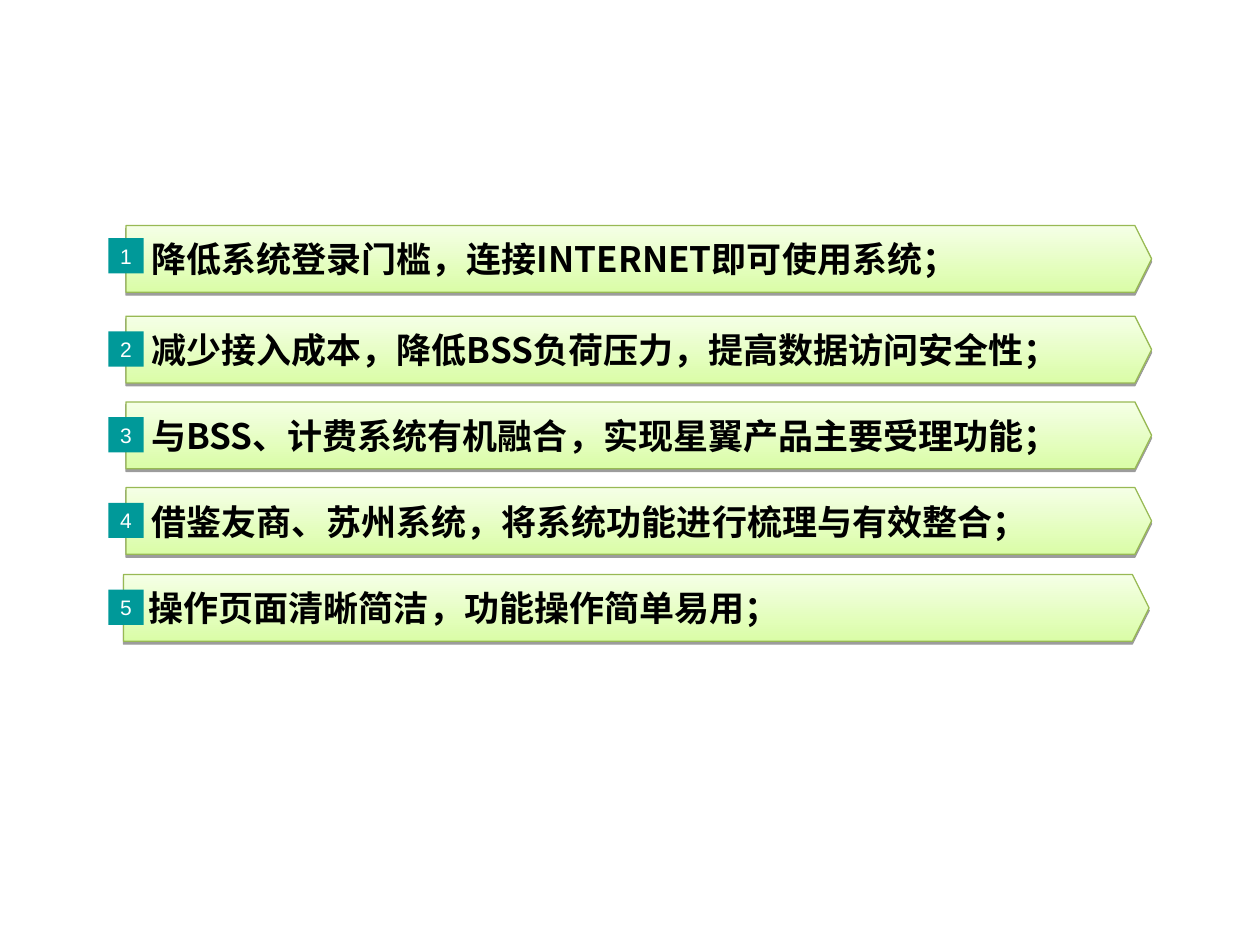
from typing import NamedTuple

from lxml.etree import SubElement
from pptx import Presentation
from pptx.dml.color import RGBColor
from pptx.enum.shapes import MSO_SHAPE as Shape
from pptx.enum.text import MSO_ANCHOR as Anchor, PP_ALIGN as Align
from pptx.oxml.ns import qn
from pptx.util import Inches, Pt

BLACK = RGBColor(0x00, 0x00, 0x00)
WHITE = RGBColor(0xFF, 0xFF, 0xFF)
TEAL = RGBColor(0x00, 0x99, 0x99)
LIME = RGBColor(0xDA, 0xFD, 0xA7)
PALE_LIME = RGBColor(0xF5, 0xFF, 0xE6)
OLIVE = RGBColor(0x98, 0xB9, 0x54)

BANNER_WIDTH, BANNER_HEIGHT = 8.14, 0.53
BADGE_LEFT, BADGE_SIZE = 0.86, 0.28


class Benefit(NamedTuple):
    text: str
    top: float
    left: float = 1.0
    badge_offset: float = 0.12


BENEFITS = [
    Benefit("降低系统登录门槛，连接INTERNET即可使用系统；", 1.79, badge_offset=0.1),
    Benefit("减少接入成本，降低BSS负荷压力，提高数据访问安全性；", 2.51),
    Benefit("与BSS、计费系统有机融合，实现星翼产品主要受理功能；", 3.19),
    Benefit("借鉴友商、苏州系统，将系统功能进行梳理与有效整合；", 3.87),
    Benefit("操作页面清晰简洁，功能操作简单易用；", 4.56, left=0.98),
]


def add_shadow(shape) -> None:
    effects = shape._element.spPr.find(qn("a:effectLst"))
    shadow = SubElement(effects, qn("a:outerShdw"), blurRad="0",
                        dist=str(Pt(1.6)), dir="5400000", rotWithShape="0")
    color = SubElement(shadow, qn("a:srgbClr"), val="000000")
    SubElement(color, qn("a:alpha"), val="38000")


def set_text(shape, text: str, font_name: str, size: int, color: RGBColor,
             bold: bool, align: Align, margin_left: float = 0) -> None:
    text_frame = shape.text_frame
    text_frame.text = text
    text_frame.word_wrap = True
    text_frame.vertical_anchor = Anchor.MIDDLE
    text_frame.margin_left = Inches(margin_left)
    text_frame.margin_top = text_frame.margin_right = text_frame.margin_bottom = 0
    paragraph = text_frame.paragraphs[0]
    paragraph.alignment = align
    run = paragraph.runs[0]
    font = run.font
    font.name, font.size, font.bold = font_name, Pt(size), bold
    font.color.rgb = color
    SubElement(run._r.get_or_add_rPr(), qn("a:ea"), typeface=font_name)


def add_banner(slide, benefit: Benefit) -> None:
    banner = slide.shapes.add_shape(
        Shape.PENTAGON, Inches(benefit.left), Inches(benefit.top),
        Inches(BANNER_WIDTH), Inches(BANNER_HEIGHT))
    banner.adjustments[0] = 0.25
    banner.shadow.inherit = False
    add_shadow(banner)
    banner.fill.gradient()
    banner.fill.gradient_angle = 90
    for stop, color in zip(banner.fill.gradient_stops, (LIME, PALE_LIME)):
        stop.color.rgb = color
    banner.line.color.rgb = OLIVE
    banner.line.width = Pt(0.75)
    set_text(banner, benefit.text, "Noto Sans CJK SC", 20, BLACK, True, Align.LEFT, 0.2)


def add_badge(slide, number: int, benefit: Benefit) -> None:
    badge = slide.shapes.add_shape(
        Shape.RECTANGLE, Inches(BADGE_LEFT), Inches(benefit.top + benefit.badge_offset),
        Inches(BADGE_SIZE), Inches(BADGE_SIZE))
    badge.shadow.inherit = False
    badge.fill.solid()
    badge.fill.fore_color.rgb = TEAL
    badge.line.fill.background()
    set_text(badge, str(number), "Arial", 12, WHITE, False, Align.CENTER)


def main() -> None:
    """Build the slide of five numbered benefit banners."""
    presentation = Presentation()
    presentation.slide_width, presentation.slide_height = Inches(10), Inches(7.5)
    slide = presentation.slides.add_slide(presentation.slide_layouts[6])
    for number, benefit in enumerate(BENEFITS, start=1):
        add_banner(slide, benefit)
        add_badge(slide, number, benefit)
    presentation.save("out.pptx")


if __name__ == "__main__":
    main()
